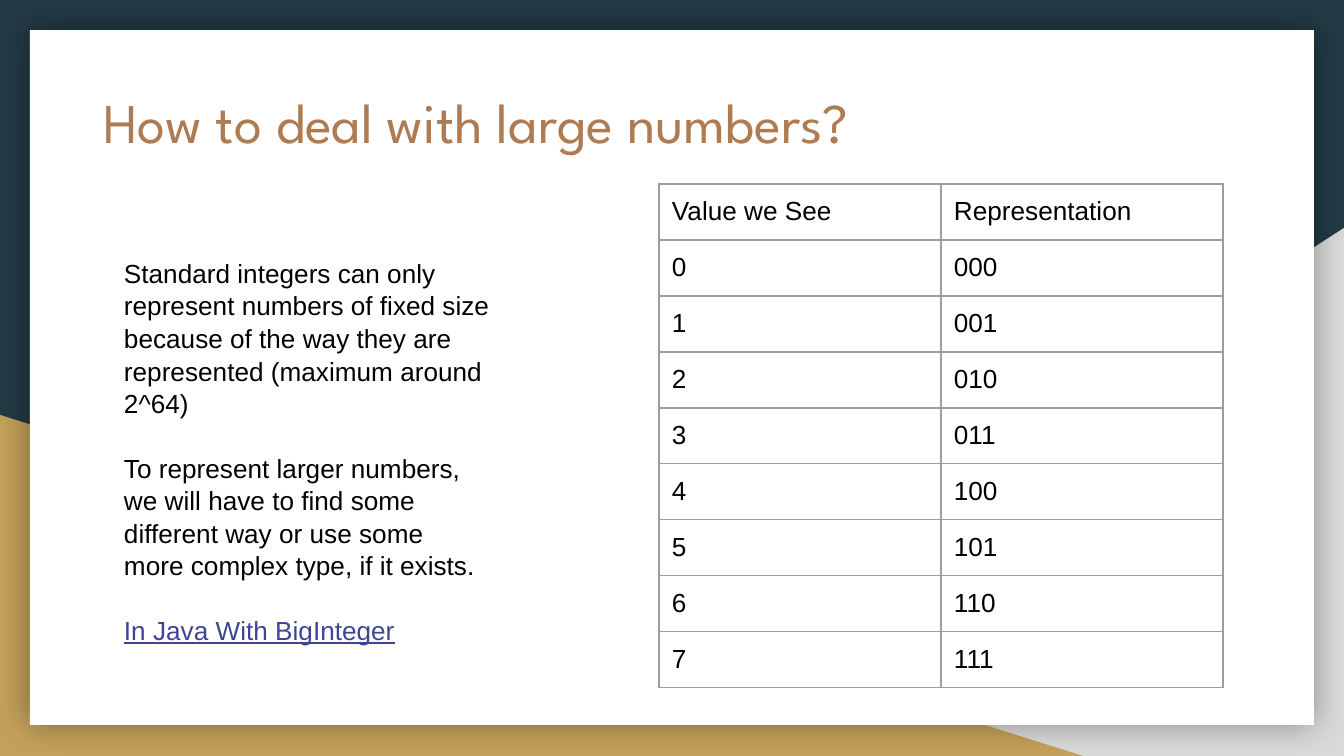
import dataclasses

import lxml.etree
import pptx
import pptx.dml.color
import pptx.enum.shapes
import pptx.enum.text
import pptx.oxml
import pptx.oxml.ns
import pptx.util

EMU_PER_PX = 914400 / 134.4
SLIDE_WIDTH, SLIDE_HEIGHT = 1344, 756
INSET = 13
COLUMN_WIDTH, ROW_HEIGHT = 282, 56
BITS = 3
BORDER_SIDES = ("a:lnL", "a:lnR", "a:lnT", "a:lnB")


@dataclasses.dataclass(frozen=True)
class Theme:
    navy: str = "233A44"
    gray: str = "D9D9D9"
    gold: str = "C4A15A"
    white: str = "FFFFFF"
    copper: str = "AF7B51"
    black: str = "000000"
    link: str = "3D4594"
    border: str = "9E9E9E"
    title_font: str = "League Spartan"
    body_font: str = "Arial"
    title_size: int = 30
    body_size: int = 14
    border_width: float = 0.75


THEME = Theme()


@dataclasses.dataclass(frozen=True)
class Box:
    left: int
    top: int
    width: int
    height: int

    def emu(self):
        return tuple(px(value) for value in dataclasses.astuple(self))


@dataclasses.dataclass(frozen=True)
class Panel:
    box: Box
    kind: pptx.enum.shapes.MSO_SHAPE
    color: str
    mirrored: bool = False
    shadowed: bool = False


@dataclasses.dataclass(frozen=True)
class BodyParagraph:
    text: str
    color: str = THEME.black
    underline: bool = False


TITLE_BOX = Box(90, 75, 1103, 140)
BODY_BOX = Box(111, 243, 392, 427)
TABLE_CORNER = (659, 184)

PANELS = (
    Panel(Box(527, 228, 817, 528), pptx.enum.shapes.MSO_SHAPE.RIGHT_TRIANGLE, THEME.gray, mirrored=True),
    Panel(Box(0, 415, 1083, 341), pptx.enum.shapes.MSO_SHAPE.RIGHT_TRIANGLE, THEME.gold),
    Panel(Box(30, 30, 1284, 695), pptx.enum.shapes.MSO_SHAPE.RECTANGLE, THEME.white, shadowed=True),
)

BODY = (
    BodyParagraph("Standard integers can only represent numbers of fixed size because of "
                  "the way they are represented (maximum around 2^64)"),
    BodyParagraph("To represent larger numbers, we will have to find some different way "
                  "or use some more complex type, if it exists."),
    BodyParagraph("In Java With BigInteger", THEME.link, underline=True),
)


def px(value: int) -> pptx.util.Emu:
    return pptx.util.Emu(round(value * EMU_PER_PX))


def rgb(color: str) -> pptx.dml.color.RGBColor:
    return pptx.dml.color.RGBColor.from_string(color)


def write_text(paragraph, text: str, *, font: str = THEME.body_font, size: int = THEME.body_size,
               color: str = THEME.black, underline: bool = False, line_spacing: float = 1.0,
               space_before: float = 0) -> None:
    paragraph.alignment = pptx.enum.text.PP_ALIGN.LEFT
    paragraph.line_spacing = line_spacing
    paragraph.space_before = pptx.util.Pt(space_before)
    run = paragraph.add_run()
    run.text = text
    run.font.name = font
    run.font.size = pptx.util.Pt(size)
    run.font.color.rgb = rgb(color)
    run.font.underline = underline


def set_margins(target) -> None:
    """Give a text frame or table cell the common inset on all sides."""
    target.margin_left = target.margin_right = px(INSET)
    target.margin_top = target.margin_bottom = px(INSET)
    target.vertical_anchor = pptx.enum.text.MSO_ANCHOR.TOP


def prepare_frame(text_frame) -> None:
    set_margins(text_frame)
    text_frame.word_wrap = True
    text_frame.auto_size = pptx.enum.text.MSO_AUTO_SIZE.NONE


def add_glow_shadow(shape) -> None:
    """Cast a soft shadow evenly around the shape."""
    effects = shape._element.spPr.find(pptx.oxml.ns.qn("a:effectLst"))
    shadow = lxml.etree.SubElement(effects, pptx.oxml.ns.qn("a:outerShdw"),
                                   blurRad=str(pptx.util.Pt(18)), dist="0", dir="0",
                                   algn="ctr", rotWithShape="0")
    color = lxml.etree.SubElement(shadow, pptx.oxml.ns.qn("a:srgbClr"), val=THEME.black)
    lxml.etree.SubElement(color, pptx.oxml.ns.qn("a:alpha"), val="40000")


def add_panel(slide, panel: Panel) -> None:
    shape = slide.shapes.add_shape(panel.kind, *panel.box.emu())
    shape.shadow.inherit = False
    shape.fill.solid()
    shape.fill.fore_color.rgb = rgb(panel.color)
    shape.line.fill.background()
    if panel.mirrored:
        shape._element.spPr.find(pptx.oxml.ns.qn("a:xfrm")).set("flipH", "1")
    if panel.shadowed:
        add_glow_shadow(shape)


def add_title(slide, text: str) -> None:
    title = slide.shapes.title
    title.left, title.top, title.width, title.height = TITLE_BOX.emu()
    prepare_frame(title.text_frame)
    write_text(title.text_frame.paragraphs[0], text, font=THEME.title_font,
               size=THEME.title_size, color=THEME.copper)
    slide.shapes._spTree.append(title._element)


def add_body(slide) -> None:
    text_frame = slide.shapes.add_textbox(*BODY_BOX.emu()).text_frame
    prepare_frame(text_frame)
    for index, item in enumerate(BODY):
        paragraph = text_frame.add_paragraph() if index else text_frame.paragraphs[0]
        write_text(paragraph, item.text, color=item.color, underline=item.underline,
                   line_spacing=1.04, space_before=17 if index else 0)


def set_borders(cell) -> None:
    properties = cell._tc.get_or_add_tcPr()
    for index, side in enumerate(BORDER_SIDES):
        line = lxml.etree.Element(pptx.oxml.ns.qn(side), w=str(pptx.util.Pt(THEME.border_width)))
        fill = lxml.etree.SubElement(line, pptx.oxml.ns.qn("a:solidFill"))
        lxml.etree.SubElement(fill, pptx.oxml.ns.qn("a:srgbClr"), val=THEME.border)
        properties.insert(index, line)


def add_value_table(slide) -> None:
    rows = [("Value we See", "Representation")]
    rows += [(str(value), f"{value:0{BITS}b}") for value in range(2 ** BITS)]
    box = Box(*TABLE_CORNER, 2 * COLUMN_WIDTH, len(rows) * ROW_HEIGHT)
    table = slide.shapes.add_table(len(rows), 2, *box.emu()).table
    table.first_row = table.horz_banding = False
    for column in table.columns:
        column.width = px(COLUMN_WIDTH)
    for row, texts in zip(table.rows, rows):
        row.height = px(ROW_HEIGHT)
        for cell, text in zip(row.cells, texts):
            set_margins(cell)
            cell.fill.background()
            set_borders(cell)
            write_text(cell.text_frame.paragraphs[0], text)


def main() -> None:
    presentation = pptx.Presentation()
    presentation.slide_width = px(SLIDE_WIDTH)
    presentation.slide_height = px(SLIDE_HEIGHT)
    slide = presentation.slides.add_slide(presentation.slide_layouts.get_by_name("Title Only"))
    slide.background.fill.solid()
    slide.background.fill.fore_color.rgb = rgb(THEME.navy)
    for panel in PANELS:
        add_panel(slide, panel)
    add_title(slide, "How to deal with large numbers?")
    add_body(slide)
    add_value_table(slide)
    presentation.save("out.pptx")


if __name__ == "__main__":
    main()
